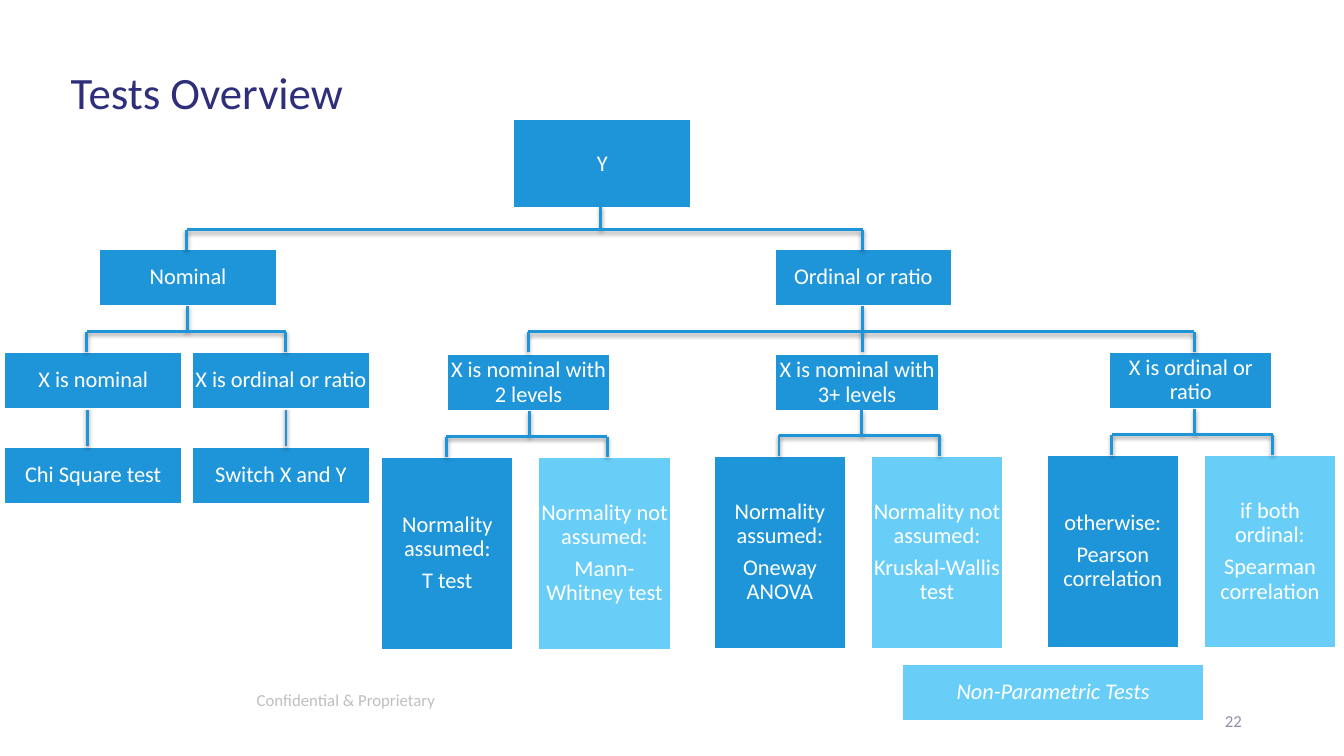
import lxml.etree
import pptx
import pptx.dml.color
import pptx.enum.shapes
import pptx.enum.text
import pptx.oxml.ns
import pptx.util

Cm = pptx.util.Cm
Pt = pptx.util.Pt
ALIGN = pptx.enum.text.PP_ALIGN
ANCHOR = pptx.enum.text.MSO_ANCHOR

COLOURS = {
    "parametric": "1F95D9",
    "nonparametric": "68CEF8",
    "white": "FFFFFF",
    "title": "2E2E7B",
    "footer": "BFBFBF",
    "number": "8F8FA9",
    "shadow": "000000",
}
NO_MARGINS = {"margin_left": 0, "margin_right": 0, "margin_top": 0, "margin_bottom": 0}
BOX_FRAME = {
    "word_wrap": True,
    "vertical_anchor": ANCHOR.MIDDLE,
    **dict.fromkeys(NO_MARGINS, Cm(0.03)),
}
BOX_PARAGRAPH = {"alignment": ALIGN.CENTER, "line_spacing": 0.9, "space_after": Pt(5.6)}
BOX_FONT = {"name": "Calibri", "size": Pt(16)}
SMALL_FONT = {"name": "Calibri", "size": Pt(12)}

TEST_GROUPS = [
    (9.6, 11.51, 11.25, 8.92, "X is nominal with 2 levels",
     ["Normality assumed:", "T test"],
     ["Normality not assumed:", "Mann-Whitney test"]),
    (17.98, 11.48, 19.53, 8.92, "X is nominal with 3+ levels",
     ["Normality assumed:", "Oneway ANOVA"],
     ["Normality not assumed:", "Kruskal-Wallis test"]),
    (26.37, 11.46, 27.94, 8.86, "X is ordinal or ratio",
     ["otherwise:", "Pearson correlation"],
     ["if both ordinal:", "Spearman correlation"]),
]


def rgb(colour):
    return pptx.dml.color.RGBColor.from_string(COLOURS[colour])


def apply(target, values):
    for attribute, value in values.items():
        setattr(target, attribute, value)


def write(paragraph, text, font, colour, layout):
    paragraph.text = text
    apply(paragraph, layout)
    apply(paragraph.font, font)
    paragraph.font.color.rgb = rgb(colour)


def add_box(slide, left, top, width, height, lines, fill="parametric", font=BOX_FONT):
    box = slide.shapes.add_shape(
        pptx.enum.shapes.MSO_SHAPE.RECTANGLE, Cm(left), Cm(top), Cm(width), Cm(height))
    box.shadow.inherit = False
    box.fill.solid()
    box.fill.fore_color.rgb = rgb(fill)
    box.line.color.rgb = rgb("white")
    box.line.width = Pt(2)
    frame = box.text_frame
    apply(frame, BOX_FRAME)
    for index, line in enumerate(lines):
        paragraph = frame.add_paragraph() if index else frame.paragraphs[0]
        write(paragraph, line, font, "white", BOX_PARAGRAPH)


def add_link(slide, x1, y1, x2, y2):
    link = slide.shapes.add_connector(
        pptx.enum.shapes.MSO_CONNECTOR.STRAIGHT, Cm(x1), Cm(y1), Cm(x2), Cm(y2))
    link.line.color.rgb = rgb("parametric")
    link.line.width = Pt(2)
    qn = pptx.oxml.ns.qn
    effects = lxml.etree.SubElement(link.line._get_or_add_ln().getparent(), qn("a:effectLst"))
    shadow = lxml.etree.SubElement(
        effects, qn("a:outerShdw"), blurRad=str(Pt(3.1)), dist=str(Pt(1.6)),
        dir="5400000", rotWithShape="0")
    tint = lxml.etree.SubElement(shadow, qn("a:srgbClr"), val=COLOURS["shadow"])
    lxml.etree.SubElement(tint, qn("a:alpha"), val="38000")


def add_branch(slide, stem, top, bar, bottom, children):
    add_link(slide, stem, top, stem, bar)
    add_link(slide, children[-1], bar, children[0], bar)
    for child in children:
        add_link(slide, child, bar, child, bottom)


def add_label(slide, left, top, width, text, colour, alignment):
    label = slide.shapes.add_textbox(Cm(left), Cm(top), Cm(width), Cm(1.02))
    apply(label.text_frame, {"word_wrap": True, "vertical_anchor": ANCHOR.MIDDLE})
    write(label.text_frame.paragraphs[0], text, SMALL_FONT, colour, {"alignment": alignment})


def add_title(slide, text):
    title = slide.shapes.title
    apply(title, {"left": Cm(1.78), "top": Cm(1.78), "width": Cm(30.5), "height": Cm(1.85)})
    apply(title.text_frame, {"word_wrap": True, "vertical_anchor": ANCHOR.TOP, **NO_MARGINS})
    write(title.text_frame.paragraphs[0], text, {"name": "Calibri", "size": Pt(32)},
          "title", {"alignment": ALIGN.LEFT, "line_spacing": 0.9})


def add_nominal_test(slide, left, condition, test):
    add_box(slide, left, 11.25, 4.5, 1.45, [test])
    add_link(slide, left + 2.11 + 0.27 * (left > 1), 10.24,
             left + 2.11 + 0.27 * (left > 1), 11.25)
    add_box(slide, left, 8.86, 4.5, 1.45, [condition])


def add_test_group(slide, left, top, condition_left, condition_top, condition, first, second):
    add_box(slide, condition_left, condition_top, 4.14, 1.45, [condition])
    add_box(slide, left, top, 3.35, 4.88, first)
    add_box(slide, left + 3.96, top, 3.35, 4.88, second, "nonparametric")
    add_branch(slide, left + 3.74, top - 1.15, top - 0.51, top, [left + 1.65, left + 5.7])


def main():
    deck = pptx.Presentation()
    apply(deck, {"slide_width": Cm(33.87), "slide_height": Cm(19.05)})
    slide = deck.slides.add_slide(deck.slide_layouts.get_by_name("Title Only"))

    add_label(slide, 6.22, 17.12, 11.43, "Confidential & Proprietary", "footer", ALIGN.LEFT)
    add_title(slide, "Tests Overview")
    add_label(slide, 23.93, 17.65, 7.62, "22", "number", ALIGN.RIGHT)

    add_box(slide, 12.93, 3, 4.5, 2.26, ["Y"])
    add_box(slide, 2.49, 6.27, 4.5, 1.45, ["Nominal"])
    add_box(slide, 19.51, 6.27, 4.5, 1.45, ["Ordinal or ratio"])
    add_branch(slide, 15.14, 5.18, 5.79, 6.3, [4.7, 21.74])

    add_nominal_test(slide, 0.1, "X is nominal", "Chi Square test")
    add_nominal_test(slide, 4.83, "X is ordinal or ratio", "Switch X and Y")
    add_branch(slide, 4.72, 7.72, 8.36, 8.86, [2.18, 7.2])

    for group in TEST_GROUPS:
        add_test_group(slide, *group)
    add_branch(slide, 21.74, 7.72, 8.36, 8.86, [13.31, 21.74, 30.1])

    add_box(slide, 22.73, 16.71, 7.62, 1.47, ["Non-Parametric Tests"], "nonparametric",
            {**BOX_FONT, "italic": True})
    deck.save("out.pptx")


if __name__ == "__main__":
    main()
